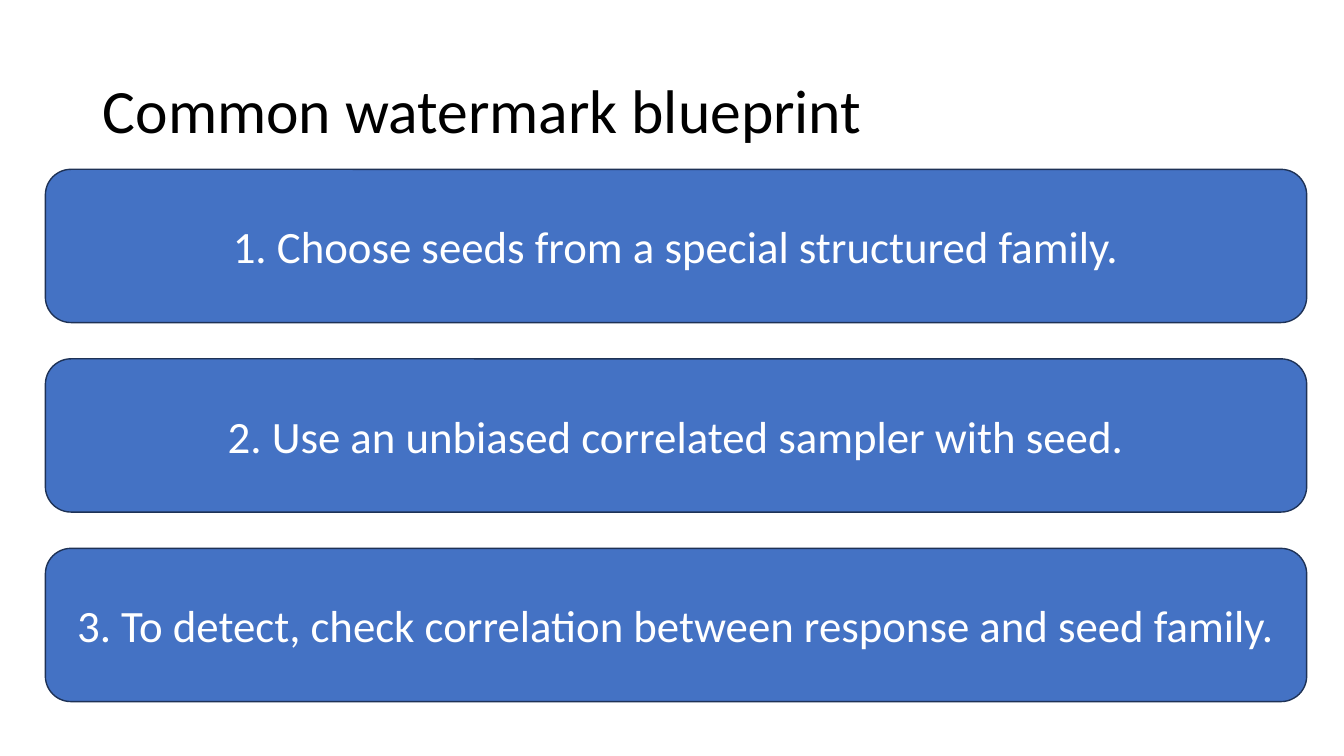
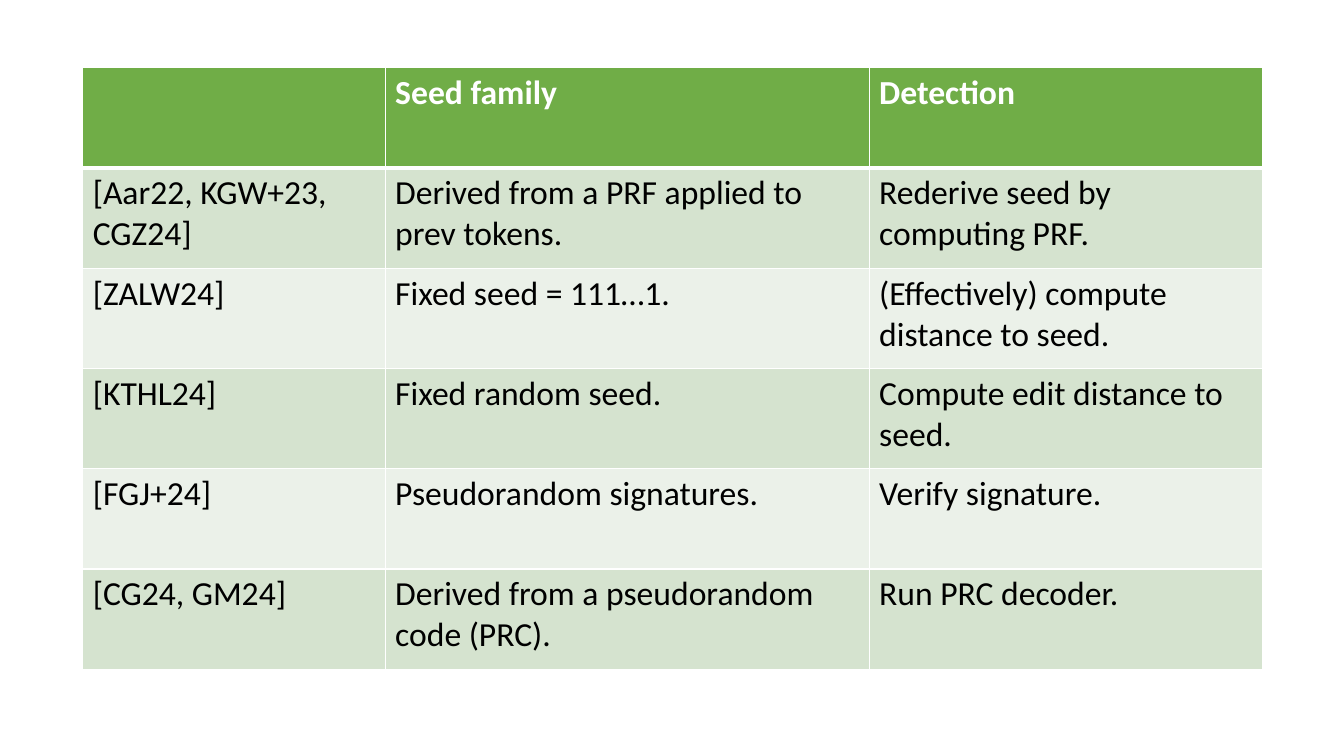
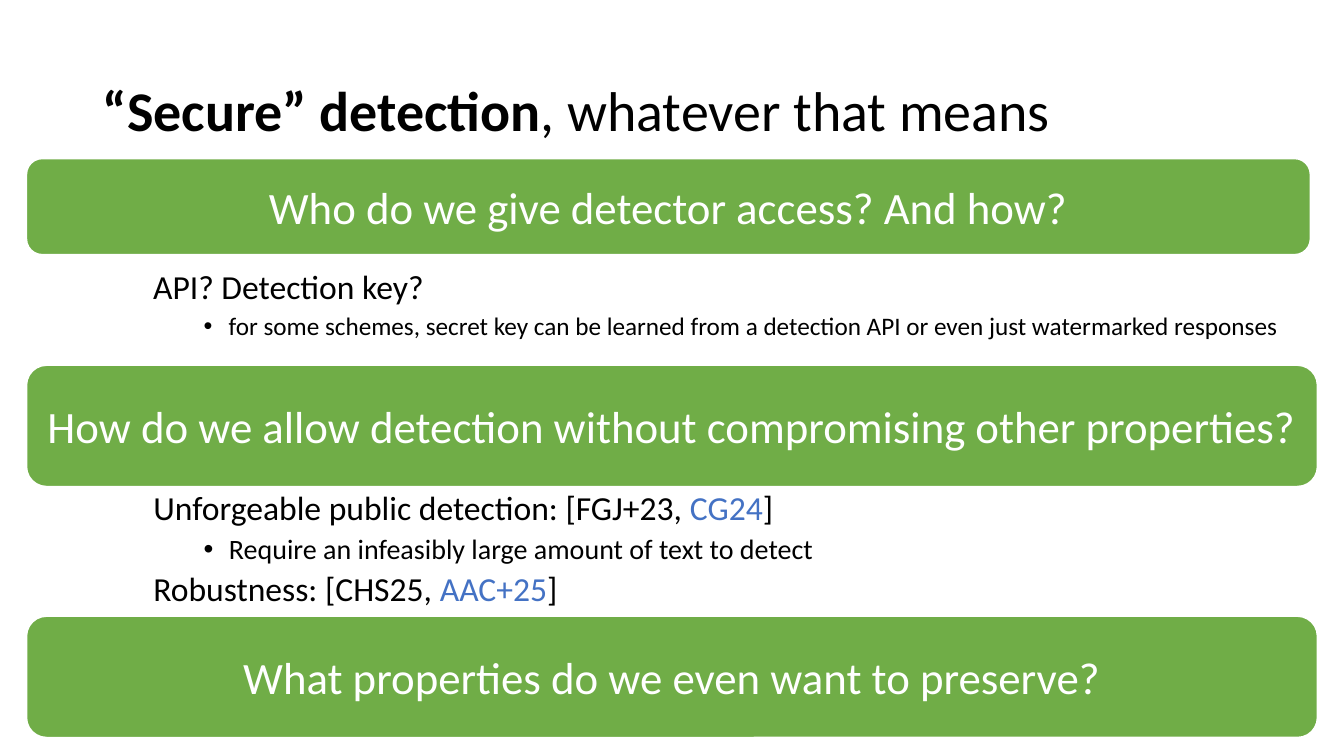
from dataclasses import dataclass

from lxml import etree
from pptx import Presentation
from pptx.dml.color import RGBColor
from pptx.enum.shapes import MSO_SHAPE
from pptx.enum.text import MSO_ANCHOR, MSO_AUTO_SIZE, PP_ALIGN
from pptx.oxml.ns import qn
from pptx.presentation import Presentation as Deck
from pptx.shapes.base import BaseShape
from pptx.slide import Slide
from pptx.table import _Cell
from pptx.text.text import TextFrame, _Paragraph
from pptx.util import Inches, Pt

ROUNDED = MSO_SHAPE.ROUNDED_RECTANGLE
MIDDLE = MSO_ANCHOR.MIDDLE
TOP = MSO_ANCHOR.TOP
LEFT = PP_ALIGN.LEFT
CENTER = PP_ALIGN.CENTER
NO_AUTOFIT = MSO_AUTO_SIZE.NONE

BLACK = RGBColor(0x00, 0x00, 0x00)
WHITE = RGBColor(0xFF, 0xFF, 0xFF)
BLUE = RGBColor(0x44, 0x72, 0xC4)
NAVY = RGBColor(0x1E, 0x32, 0x56)
GREEN = RGBColor(0x70, 0xAD, 0x47)
BAND_DARK = RGBColor(0xD5, 0xE3, 0xCF)
BAND_LIGHT = RGBColor(0xEB, 0xF1, 0xE9)

FONT = "Calibri"
TITLE_AND_CONTENT, TITLE_ONLY, BLANK = 1, 5, 6


@dataclass(frozen=True)
class Area:
    left: float
    top: float
    width: float
    height: float

    def lengths(self) -> tuple[Inches, Inches, Inches, Inches]:
        return Inches(self.left), Inches(self.top), Inches(self.width), Inches(self.height)


@dataclass(frozen=True)
class Span:
    text: str
    color: RGBColor | None = None
    bold: bool | None = None


@dataclass(frozen=True)
class Item:
    spans: tuple[Span, ...]
    size: int
    bulleted: bool = False


@dataclass(frozen=True)
class BannerStyle:
    fill: RGBColor
    line: RGBColor
    line_width: float


@dataclass(frozen=True)
class Banner:
    text: str
    area: Area


TITLE_AREA = Area(0.92, 0.4, 11.5, 1.45)
STEP_STYLE = BannerStyle(BLUE, NAVY, 1)
QUESTION_STYLE = BannerStyle(GREEN, WHITE, 1.5)

STEPS = (
    "1. Choose seeds from a special structured family.",
    "2. Use an unbiased correlated sampler with seed.",
    "3. To detect, check correlation between response and seed family.",
)
STEP_TOP, STEP_PITCH = 1.68, 1.88

SCHEMES = (
    ("", "Seed family", "Detection"),
    ("[Aar22, KGW+23, CGZ24]", "Derived from a PRF applied to prev tokens.",
     "Rederive seed by computing PRF."),
    ("[ZALW24]", "Fixed seed = 111…1.", "(Effectively) compute distance to seed."),
    ("[KTHL24]", "Fixed random seed.", "Compute edit distance to seed."),
    ("[FGJ+24]", "Pseudorandom signatures.", "Verify signature."),
    ("[CG24, GM24]", "Derived from a pseudorandom code (PRC).", "Run PRC decoder."),
)
SCHEME_AREA = Area(0.82, 0.67, 11.7, 5.97)
SCHEME_WIDTHS = (3, 4.8, 3.9)

QUESTIONS = (
    Banner("Who do we give detector access? And how?", Area(0.26, 1.57, 12.74, 0.96)),
    Banner("How do we allow detection without compromising other properties?",
           Area(0.26, 3.62, 12.81, 1.21)),
    Banner("What properties do we even want to preserve?", Area(0.26, 6.11, 12.81, 1.21)),
)
ACCESS_AREA = Area(0.92, 2.63, 12.08, 1.11)
ACCESS_ITEMS = (
    Item((Span("API? Detection key?"),), 24),
    Item((Span("for some schemes, secret key can be learned from a detection API "
               "or even just watermarked responses"),), 18, True),
)
PROPERTY_AREA = Area(0.92, 4.83, 11.5, 1.28)
PROPERTY_ITEMS = (
    Item((Span("Unforgeable public detection: [FGJ+23, "), Span("CG24", BLUE), Span("]")), 24),
    Item((Span("Require an infeasibly large amount of text to detect"),), 20, True),
    Item((Span("Robustness: [CHS25, "), Span("AAC+25", BLUE), Span("]")), 24),
)


def place(shape: BaseShape, area: Area) -> None:
    shape.left, shape.top, shape.width, shape.height = area.lengths()


def set_font(para: _Paragraph, size: float, color: RGBColor, bold: bool = False) -> None:
    para.font.name = FONT
    para.font.size = Pt(size)
    para.font.bold = bold
    para.font.color.rgb = color


def add_spans(para: _Paragraph, spans: tuple[Span, ...]) -> None:
    for span in spans:
        run = para.add_run()
        run.text = span.text
        if span.bold is not None:
            run.font.bold = span.bold
        if span.color is not None:
            run.font.color.rgb = span.color


def set_title(slide: Slide, size: float, *spans: Span) -> None:
    title = slide.shapes.title
    place(title, TITLE_AREA)
    frame = title.text_frame
    frame.vertical_anchor = MIDDLE
    frame.auto_size = NO_AUTOFIT
    frame.word_wrap = True
    para = frame.paragraphs[0]
    para.alignment = LEFT
    para.line_spacing = 0.9
    set_font(para, size, BLACK)
    add_spans(para, spans)


def set_bullet(para: _Paragraph, bulleted: bool) -> None:
    properties = para._p.get_or_add_pPr()
    properties.set("marL", str(Inches(1.25 if bulleted else 0.5)))
    properties.set("indent", str(Inches(-0.25 if bulleted else 0)))
    if bulleted:
        etree.SubElement(properties, qn("a:buFont"), typeface="Arial")
        etree.SubElement(properties, qn("a:buChar"), char="•")
    else:
        etree.SubElement(properties, qn("a:buNone"))


def fill_list(frame: TextFrame, items: tuple[Item, ...]) -> None:
    frame.word_wrap = True
    frame.auto_size = NO_AUTOFIT
    frame.vertical_anchor = TOP
    for index, item in enumerate(items):
        para = frame.add_paragraph() if index else frame.paragraphs[0]
        para.level = 2 if item.bulleted else 1
        set_bullet(para, item.bulleted)
        para.alignment = LEFT
        para.line_spacing = 0.9
        para.space_before = Pt(5 if index else 0)
        set_font(para, item.size, BLACK)
        add_spans(para, item.spans)


def add_banner(slide: Slide, banner: Banner, style: BannerStyle) -> None:
    box = slide.shapes.add_shape(ROUNDED, *banner.area.lengths())
    box.shadow.inherit = False
    box.fill.solid()
    box.fill.fore_color.rgb = style.fill
    box.line.color.rgb = style.line
    box.line.width = Pt(style.line_width)
    frame = box.text_frame
    frame.word_wrap = True
    frame.vertical_anchor = MIDDLE
    para = frame.paragraphs[0]
    para.text = banner.text
    para.alignment = CENTER
    set_font(para, 32, WHITE)


def set_borders(cell: _Cell, top: float, bottom: float) -> None:
    properties = cell._tc.get_or_add_tcPr()
    for side, width in (("L", 1), ("R", 1), ("T", top), ("B", bottom)):
        line = etree.SubElement(properties, qn(f"a:ln{side}"), w=str(Pt(width)))
        fill = etree.SubElement(line, qn("a:solidFill"))
        etree.SubElement(fill, qn("a:srgbClr"), val=str(WHITE))


def add_scheme_table(slide: Slide) -> None:
    table = slide.shapes.add_table(
        len(SCHEMES), len(SCHEME_WIDTHS), *SCHEME_AREA.lengths()).table
    for column, width in zip(table.columns, SCHEME_WIDTHS):
        column.width = Inches(width)
    for row_index, texts in enumerate(SCHEMES):
        header = row_index == 0
        band = BAND_DARK if row_index % 2 else BAND_LIGHT
        for column_index, text in enumerate(texts):
            cell = table.cell(row_index, column_index)
            set_borders(cell, 3 if row_index == 1 else 1, 3 if header else 1)
            cell.fill.solid()
            cell.fill.fore_color.rgb = GREEN if header else band
            para = cell.text_frame.paragraphs[0]
            para.text = text
            set_font(para, 24, WHITE if header else BLACK, header)


def add_slide(deck: Deck, layout: int) -> Slide:
    return deck.slides.add_slide(deck.slide_layouts[layout])


def build_blueprint(deck: Deck) -> None:
    slide = add_slide(deck, TITLE_ONLY)
    set_title(slide, 44, Span("Common watermark blueprint"))
    for index, text in enumerate(STEPS):
        area = Area(0.45, STEP_TOP + index * STEP_PITCH, 12.51, 1.52)
        add_banner(slide, Banner(text, area), STEP_STYLE)


def build_schemes(deck: Deck) -> None:
    add_scheme_table(add_slide(deck, BLANK))


def build_detection(deck: Deck) -> None:
    slide = add_slide(deck, TITLE_AND_CONTENT)
    set_title(slide, 40, Span("“Secure” detection", bold=True), Span(", whatever that means"))
    body = slide.placeholders[1]
    place(body, PROPERTY_AREA)
    fill_list(body.text_frame, PROPERTY_ITEMS)
    access_box = slide.shapes.add_textbox(*ACCESS_AREA.lengths())
    fill_list(access_box.text_frame, ACCESS_ITEMS)
    for question in QUESTIONS:
        add_banner(slide, question, QUESTION_STYLE)


def main() -> None:
    deck = Presentation()
    deck.slide_width = Inches(13.33)
    deck.slide_height = Inches(7.5)
    build_blueprint(deck)
    build_schemes(deck)
    build_detection(deck)
    deck.save("out.pptx")


if __name__ == "__main__":
    main()
